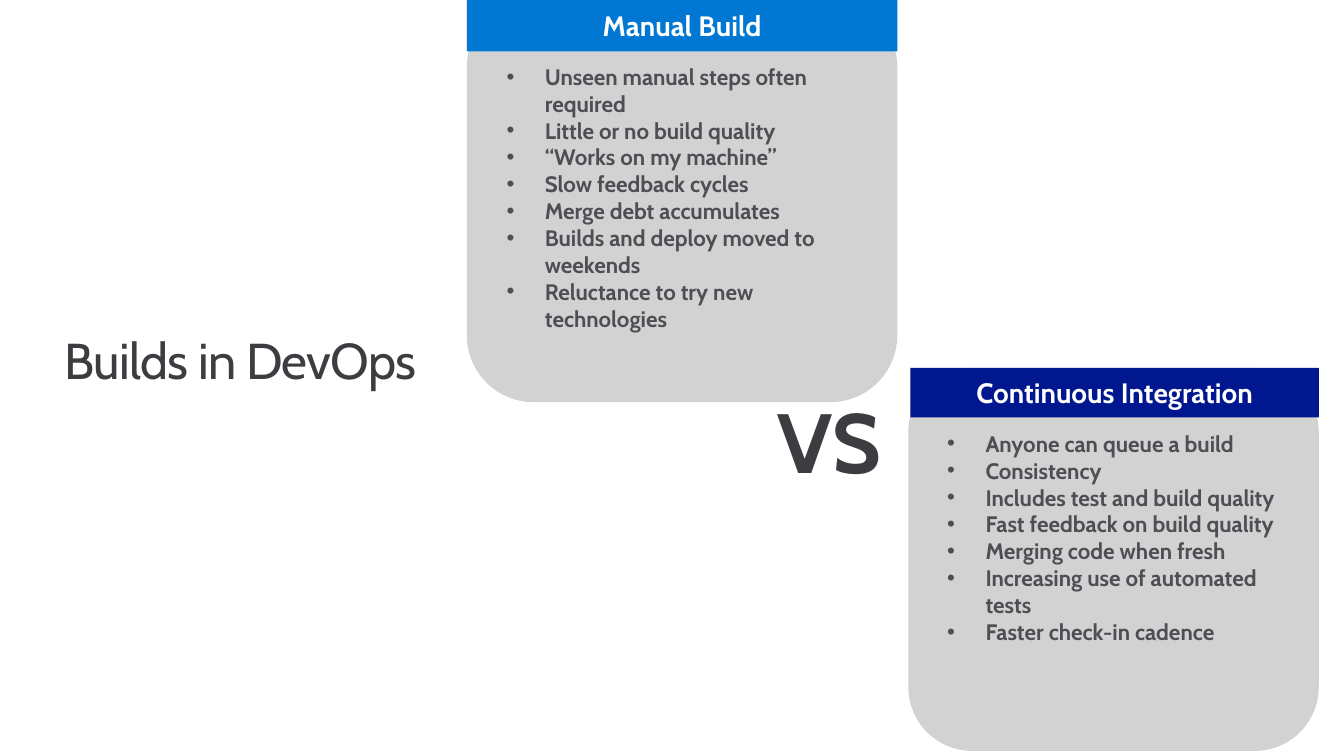
import pptx
import pptx.dml.color
import pptx.enum.shapes
import pptx.enum.text
import pptx.oxml.ns
import pptx.util
from lxml import etree

Inches = pptx.util.Inches
SHAPES = pptx.enum.shapes.MSO_SHAPE
ANCHOR = pptx.enum.text.MSO_ANCHOR
ALIGN = pptx.enum.text.PP_ALIGN

SLIDE_WIDTH, SLIDE_HEIGHT = 13.33, 7.5
BULLET_INDENT = 0.38
COLORS = {
    "panel": "D2D2D2",
    "body": "4E4E55",
    "dark": "3C3C41",
    "manual": "0078D3",
    "continuous": "01178F",
    "white": "FFFFFF",
}
FORMATS = {
    "title": {"size": 36, "bold": False, "color": "dark"},
    "versus": {"size": 60, "bold": True, "color": "dark"},
    "header": {"size": 20, "bold": True, "color": "white"},
    "body": {"size": 16, "bold": True, "color": "body"},
}
MANUAL_STEPS = [
    "Unseen manual steps often required",
    "Little or no build quality",
    "“Works on my machine”",
    "Slow feedback cycles",
    "Merge debt accumulates",
    "Builds and deploy moved to weekends",
    "Reluctance to try new technologies",
]
CONTINUOUS_STEPS = [
    "Anyone can queue a build",
    "Consistency",
    "Includes test and build quality",
    "Fast feedback on build quality",
    "Merging code when fresh",
    "Increasing use of automated tests",
    "Faster check-in cadence",
]


def rgb(name):
    return pptx.dml.color.RGBColor.from_string(COLORS[name])


def set_frame(frame, anchor, margins):
    """Set wrapping, anchor and the left, top, right and bottom margins."""
    frame.word_wrap = True
    frame.vertical_anchor = anchor
    for side, margin in zip(("left", "top", "right", "bottom"), margins):
        setattr(frame, f"margin_{side}", Inches(margin))


def write(paragraph, text, style, alignment=ALIGN.LEFT):
    paragraph.alignment = alignment
    run = paragraph.add_run()
    run.text = text
    values = FORMATS[style]
    font = {"name": "Cabin", "size": pptx.util.Pt(values["size"]), "bold": values["bold"]}
    for attribute, value in font.items():
        setattr(run.font, attribute, value)
    run.font.color.rgb = rgb(values["color"])
    return run


def add_bullet(paragraph):
    properties = paragraph._p.get_or_add_pPr()
    properties.set("marL", str(Inches(BULLET_INDENT)))
    properties.set("indent", str(-Inches(BULLET_INDENT)))
    bullet_font = etree.SubElement(properties, pptx.oxml.ns.qn("a:buFont"))
    bullet_font.set("typeface", "Arial")
    bullet = etree.SubElement(properties, pptx.oxml.ns.qn("a:buChar"))
    bullet.set("char", "•")


def add_block(slide, kind, box, color):
    shape = slide.shapes.add_shape(kind, *map(Inches, box))
    shape.shadow.inherit = False
    shape.fill.solid()
    shape.fill.fore_color.rgb = rgb(color)
    shape.line.fill.background()
    return shape


def add_panel(slide, box, heading, steps, color, header_height, header_inset=0):
    """Place a rounded list with a header bar along its top edge."""
    left, top, width, height = box
    panel = add_block(slide, SHAPES.ROUNDED_RECTANGLE, box, "panel")
    frame = panel.text_frame
    set_frame(frame, ANCHOR.TOP, (0.2, 0.43, 0.2, 0.16))
    for index, step in enumerate(steps):
        paragraph = frame.add_paragraph() if index else frame.paragraphs[0]
        add_bullet(paragraph)
        write(paragraph, step, "body")

    header_box = (left + header_inset, top, width - header_inset, header_height)
    header = add_block(slide, SHAPES.RECTANGLE, header_box, color)
    set_frame(header.text_frame, ANCHOR.MIDDLE, (0.2, 0.16, 0.2, 0.16))
    write(header.text_frame.paragraphs[0], heading, "header", ALIGN.CENTER)


def add_label(slide, box, text, style, anchor=ANCHOR.TOP):
    label = slide.shapes.add_textbox(*map(Inches, box))
    set_frame(label.text_frame, anchor, (0, 0, 0, 0))
    return write(label.text_frame.paragraphs[0], text, style)


def add_title(slide, box, text):
    run = add_label(slide, box, text, "title", ANCHOR.BOTTOM)
    run._r.get_or_add_rPr().set("spc", "-50")
    slide.shapes[-1].text_frame.paragraphs[0].line_spacing = 0.9


def build_comparison_slide(presentation):
    slide = presentation.slides.add_slide(presentation.slide_layouts[6])
    add_panel(slide, (4.63, 0, 4.27, 3.99), "Manual Build", MANUAL_STEPS, "manual", 0.51)
    add_title(slide, (0.64, 3.26, 10, 0.61), "Builds in DevOps")
    add_panel(slide, (9.01, 3.65, 4.07, 3.8), "Continuous Integration",
              CONTINUOUS_STEPS, "continuous", 0.49, header_inset=0.02)
    add_label(slide, (7.71, 3.86, 1.07, 1.01), "VS", "versus")


def main():
    presentation = pptx.Presentation()
    presentation.slide_width = Inches(SLIDE_WIDTH)
    presentation.slide_height = Inches(SLIDE_HEIGHT)
    build_comparison_slide(presentation)
    presentation.save("out.pptx")


if __name__ == "__main__":
    main()
